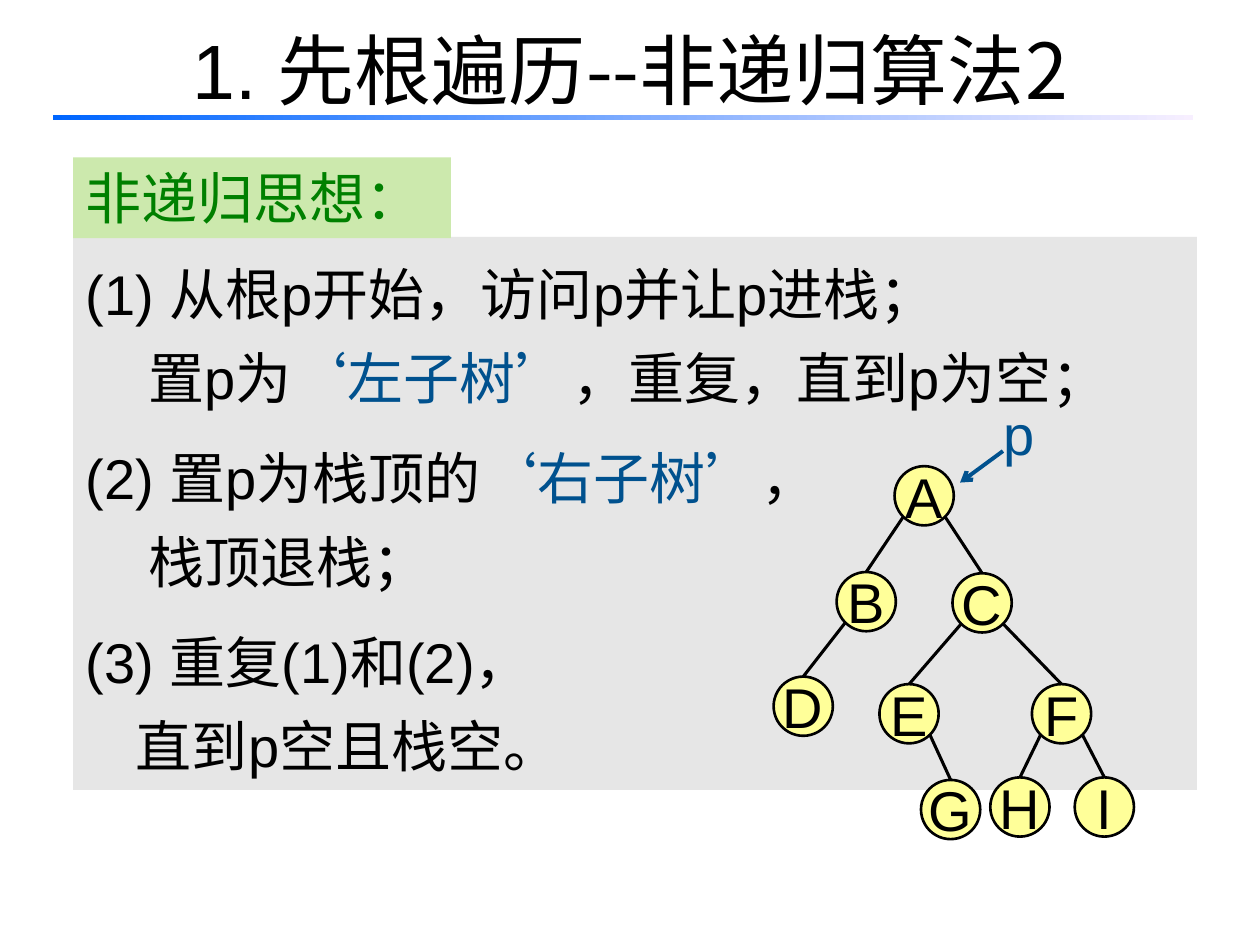
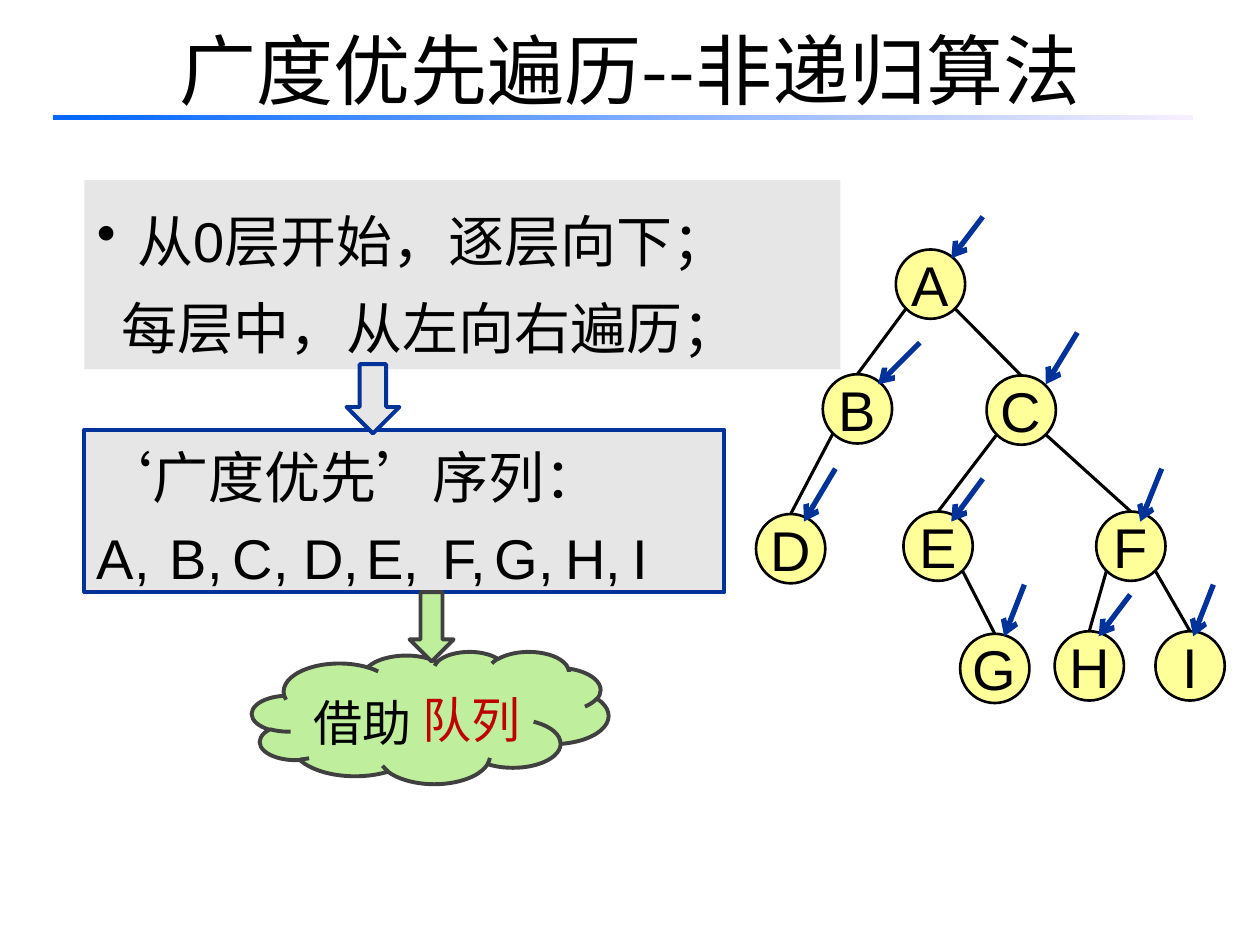
from lxml import etree
from pptx import Presentation
from pptx.dml.color import RGBColor
from pptx.enum.shapes import MSO_CONNECTOR, MSO_SHAPE
from pptx.enum.text import MSO_ANCHOR, MSO_AUTO_SIZE, PP_ALIGN
from pptx.oxml.ns import qn
from pptx.util import Inches, Pt

RECT, OVAL = MSO_SHAPE.RECTANGLE, MSO_SHAPE.OVAL
DOWN, CLOUD = MSO_SHAPE.DOWN_ARROW, MSO_SHAPE.CLOUD
TOP, MIDDLE = MSO_ANCHOR.TOP, MSO_ANCHOR.MIDDLE
LEFT, CENTER = PP_ALIGN.LEFT, PP_ALIGN.CENTER
STRAIGHT = MSO_CONNECTOR.STRAIGHT
NO_FIT = MSO_AUTO_SIZE.NONE
LATIN, CJK = "Arial", "Noto Sans CJK SC"
C = {
    "black": "000000", "gray": "E6E6E6", "node": "FFFF99", "root": "FFFE98",
    "blue": "00518E", "navy": "003399", "green": "008000", "pale": "CCE9AD",
    "cloud": "BFEE9C", "dark": "404040", "red": "C00000",
    "band_from": "0066FF", "band_to": "F7EFFF",
}
rgb = {name: RGBColor.from_string(value) for name, value in C.items()}


def format_shape(sp, paras=(), fill=None, line=None, width=2.25, size=32,
                 color="black", align=LEFT, anchor=TOP, spacing=None, wrap=True):
    sp.shadow.inherit = False
    if fill:
        sp.fill.solid()
        sp.fill.fore_color.rgb = rgb[fill]
    if line:
        sp.line.color.rgb = rgb[line]
        sp.line.width = Pt(width)
    else:
        sp.line.fill.background()
    tf = sp.text_frame
    tf.word_wrap, tf.auto_size, tf.vertical_anchor = wrap, NO_FIT, anchor
    for i, para in enumerate(paras):
        p = tf.add_paragraph() if i else tf.paragraphs[0]
        runs, indent, before, bullet = (para if isinstance(para, tuple)
                                        else (para, 0, 0, False))
        p.alignment = align
        p.space_before = Pt(before)
        if spacing:
            p.line_spacing = spacing
        pPr = p._p.get_or_add_pPr()
        if indent:
            pPr.set("marL", str(Inches(indent)))
        if bullet:
            pPr.set("indent", str(-Inches(indent)))
            etree.SubElement(pPr, qn("a:buChar")).set("char", "•")
        for run in [runs] if isinstance(runs, str) else runs:
            text, tint, font = run if isinstance(run, tuple) else (run, color, LATIN)
            r = p.add_run()
            r.text = text
            r.font.size = Pt(size)
            r.font.name = font
            r.font.color.rgb = rgb[tint]
            rPr = r._r.get_or_add_rPr()
            rPr.set("lang", "zh-CN")
            etree.SubElement(rPr, qn("a:ea")).set("typeface", CJK)


def add_line(s, start, end, color="black", width=1.75, arrow=False):
    sp = s.shapes.add_connector(STRAIGHT, *map(Inches, start + end))
    sp.line.color.rgb = rgb[color]
    sp.line.width = Pt(width)
    if arrow:
        ln = sp.line._get_or_add_ln()
        etree.SubElement(ln, qn("a:tailEnd")).set("type", "arrow")
    etree.SubElement(sp._element.spPr, qn("a:effectLst"))


prs = Presentation()
prs.slide_width, prs.slide_height = Inches(10), Inches(7.5)

titles = [
    ["1. ", ("先根遍历--非递归算法2", "black", CJK)],
    [("广度优先遍历--非递归算法", "black", CJK)],
]
for title in titles:
    s = prs.slides.add_slide(prs.slide_layouts[5])
    sp = s.shapes.title
    sp.left, sp.top, sp.width, sp.height = map(Inches, (0.5, -0.08, 9, 1.25))
    format_shape(sp, [(title, 0, 0, False)], size=44, align=CENTER, anchor=MIDDLE)
    sp = s.shapes.add_shape(RECT, *map(Inches, (0.42, 0.91, 9.05, 0.04)))
    format_shape(sp)
    sp.fill.gradient()
    sp.fill.gradient_angle = 0
    for stop, name in zip(sp.fill.gradient_stops, ("band_from", "band_to")):
        stop.color.rgb = rgb[name]
preorder, breadth = prs.slides

steps = [
    "(1) 从根p开始，访问p并让p进栈；",
    (["置p为", ("‘左子树’", "blue", LATIN), "，重复，直到p为空；"], 0.5, 0, False),
    (["(2) 置p为栈顶的", ("‘右子树’", "blue", LATIN), "，"], 0, 9, False),
    ("栈顶退栈；", 0.5, 0, False),
    ("(3) 重复(1)和(2)，", 0, 9, False),
    ("直到p空且栈空。", 0.4, 0, False),
]
sp = preorder.shapes.add_shape(RECT, *map(Inches, (0.58, 1.88, 8.92, 4.39)))
format_shape(sp, steps, fill="gray", spacing=1.25)
sp = preorder.shapes.add_shape(RECT, *map(Inches, (0.58, 1.25, 3, 0.64)))
format_shape(sp, ["非递归思想："], fill="pale", color="green")

levels = [
    ("从0层开始，逐层向下；", 0.32, 0, True),
    ("每层中，从左向右遍历；", 0.2, 0, False),
]
sp = breadth.shapes.add_shape(RECT, *map(Inches, (0.67, 1.43, 6, 1.5)))
format_shape(sp, levels, fill="gray", spacing=1.3)

edges = ["AB", "AC", "BD", "CE", "CF", "EG", "FH", "FI"]
trees = [
    (preorder, 0.47, {
        "A": (7.1, 3.7), "B": (6.64, 4.54), "C": (7.56, 4.55),
        "D": (6.14, 5.37), "E": (6.98, 5.43), "F": (8.19, 5.43),
        "G": (7.31, 6.19), "H": (7.86, 6.17), "I": (8.53, 6.17)}),
    (breadth, 0.55, {
        "A": (7.11, 1.98), "B": (6.53, 2.97), "C": (7.83, 2.98),
        "D": (6, 4.08), "E": (7.17, 4.06), "F": (8.7, 4.06),
        "G": (7.62, 5.03), "H": (8.37, 5.01), "I": (9.17, 5.01)}),
]
for s, d, nodes in trees:
    for name, (x, y) in nodes.items():
        sp = s.shapes.add_shape(OVAL, *map(Inches, (x, y, d, d)))
        format_shape(sp, [name], fill="root" if name == "A" else "node",
                     line="black", width=1.5, align=CENTER, anchor=MIDDLE, wrap=False)
    for parent, child in edges:
        (px, py), (cx, cy) = nodes[parent], nodes[child]
        side = 0.15 if cx < px else 0.85
        add_line(s, (px + side * d, py + 0.85 * d), (cx + d / 2, cy))

sp = preorder.shapes.add_textbox(*map(Inches, (7.72, 3.27, 0.73, 0.48)))
format_shape(sp, ["p"], color="blue", align=CENTER, spacing=0.7)
add_line(preorder, (7.96, 3.58), (7.62, 3.83), "blue", 2.25, True)

visits = [
    ((7.8, 1.72), (7.55, 2.05)), ((7.3, 2.72), (6.97, 3.05)),
    ((8.55, 2.64), (8.3, 3.05)), ((6.63, 3.72), (6.38, 4.14)),
    ((7.8, 3.8), (7.55, 4.14)), ((9.22, 3.72), (9.05, 4.14)),
    ((8.13, 4.64), (7.97, 5.05)), ((8.97, 4.72), (8.72, 5.05)),
    ((9.63, 4.64), (9.47, 5.05)),
]
for start, end in visits:
    add_line(breadth, start, end, "navy", 3, True)

sp = breadth.shapes.add_shape(RECT, *map(Inches, (0.67, 3.41, 5.08, 1.29)))
format_shape(sp, ["‘广度优先’序列："], fill="gray", line="navy", spacing=1.1)
sp = breadth.shapes.add_shape(DOWN, *map(Inches, (2.75, 2.89, 0.42, 0.55)))
format_shape(sp, fill="gray", line="navy")

sequence_x = [0.67, 1.25, 1.75, 2.31, 2.81, 3.41, 3.83, 4.39, 4.92]
for name, x in zip("ABCDEFGHI", sequence_x):
    sp = breadth.shapes.add_textbox(*map(Inches, (x, 3.97, 0.75, 0.71)))
    format_shape(sp, [name if name == "I" else name + ","], spacing=1.25, wrap=False)

sp = breadth.shapes.add_shape(CLOUD, *map(Inches, (2, 5.17, 2.83, 1.05)))
format_shape(sp, ["借助"], fill="cloud", line="dark", size=28, spacing=1.25)
sp = breadth.shapes.add_shape(DOWN, *map(Inches, (3.25, 4.7, 0.35, 0.55)))
format_shape(sp, fill="cloud", line="dark")
sp = breadth.shapes.add_textbox(*map(Inches, (3.25, 5.31, 0.99, 0.69)))
format_shape(sp, ["队列"], size=28, color="red", align=CENTER, spacing=1.25, wrap=False)

prs.save("out.pptx")
